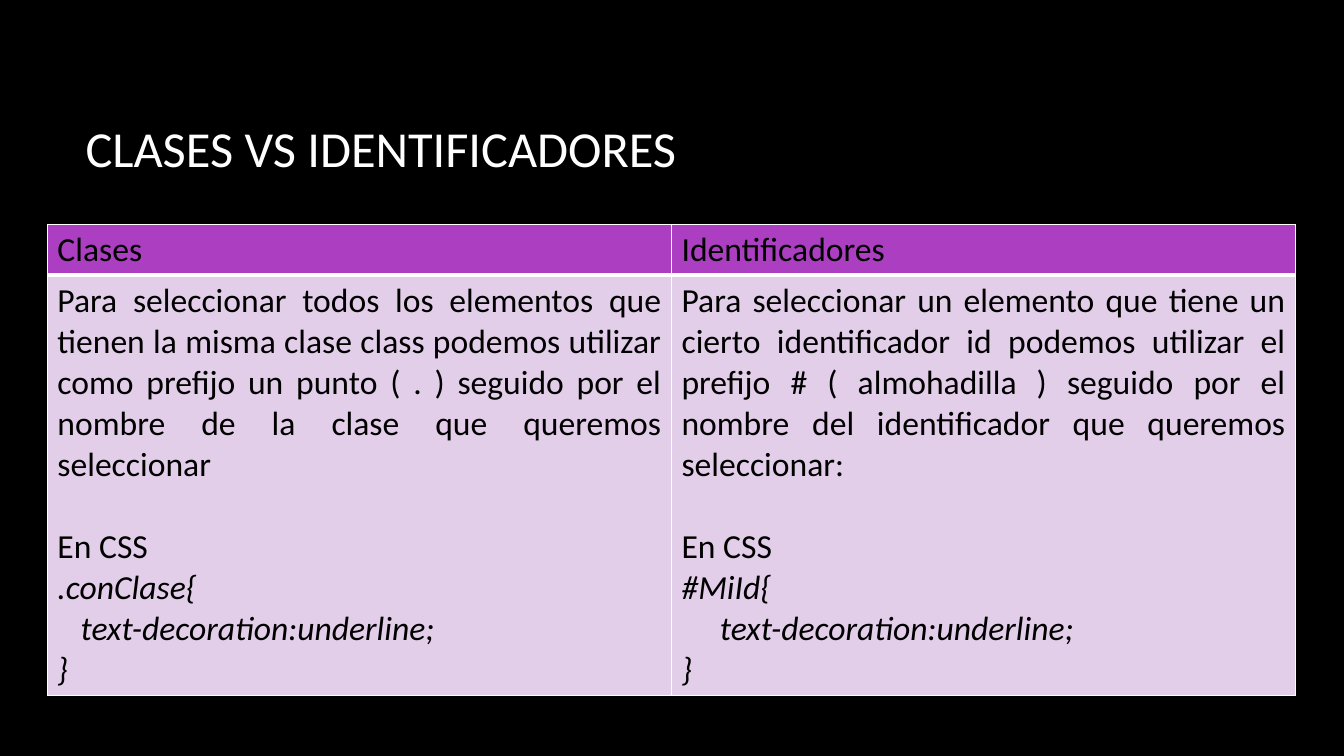
"""Build a slide that compares CSS classes and identifiers in a table."""
from dataclasses import dataclass

from lxml.etree import SubElement
from pptx import Presentation
from pptx.dml.color import RGBColor
from pptx.enum.text import MSO_ANCHOR, PP_ALIGN
from pptx.oxml.ns import qn
from pptx.util import Inches, Pt

TITLE = "CLASES VS IDENTIFICADORES"
COLUMNS = [
    {
        "heading": "Clases",
        "intro": "Para seleccionar todos los elementos que tienen la misma clase class podemos utilizar "
                 "como prefijo un punto ( . ) seguido por el nombre de la clase que queremos seleccionar",
        "selector": ".conClase{",
        "indent": 0.23,
    },
    {
        "heading": "Identificadores",
        "intro": "Para seleccionar un elemento que tiene un cierto identificador id podemos utilizar "
                 "el prefijo # ( almohadilla ) seguido por el nombre del identificador que queremos seleccionar:",
        "selector": "#MiId{",
        "indent": 0.38,
    },
]
LABEL = "En CSS"
RULE = "text-decoration:underline;"
CLOSING = "}"


@dataclass(frozen=True)
class Theme:
    """Colours, font and type sizes of the slide."""
    font: str = "Calibri"
    background: str = "000000"
    title: str = "FFFFFF"
    text: str = "000000"
    heading_fill: str = "AC3EC1"
    body_fill: str = "E3CEE9"
    border: str = "FFFFFF"
    title_size: int = 36
    text_size: int = 24
    line_gap: float = 29.3
    thin: int = 1
    thick: int = 3


THEME = Theme()
WIDTH, HEIGHT = 13.33, 7.5
TABLE_LEFT, TABLE_TOP, TABLE_WIDTH = 0.47, 2.23, 12.38
ROW_HEIGHTS = [0.5, 4.17]


def write(para, text, size, color, italic=False):
    """Put styled text into a paragraph."""
    para.text = text
    for span in para.runs:
        span.font.name = THEME.font
        span.font.size = Pt(size)
        span.font.italic = italic
        span.font.color.rgb = RGBColor.from_string(color)


def style_cell(cell, fill, bottom):
    """Fill a cell and draw its four borders."""
    properties = cell._tc.get_or_add_tcPr()
    widths = {"a:lnL": THEME.thin, "a:lnR": THEME.thin, "a:lnT": THEME.thin, "a:lnB": bottom}
    for tag, width in widths.items():
        line = SubElement(properties, qn(tag), w=str(Pt(width)))
        SubElement(SubElement(line, qn("a:solidFill")), qn("a:srgbClr"), val=THEME.border)
    cell.fill.solid()
    cell.fill.fore_color.rgb = RGBColor.from_string(fill)


def add_title(page):
    """Add the slide title."""
    box = page.shapes.add_textbox(Inches(0.75), Inches(0.67), Inches(11.08), Inches(1.59))
    frame = box.text_frame
    frame.word_wrap = True
    frame.vertical_anchor = MSO_ANCHOR.MIDDLE
    write(frame.paragraphs[0], TITLE, THEME.title_size, THEME.title)


def fill_body(cell, column):
    """Write the explanation and the CSS example of one column."""
    lines = [(column["intro"], False), (LABEL, False), (column["selector"], True), (RULE, True), (CLOSING, True)]
    frame = cell.text_frame
    for index, (text, italic) in enumerate(lines):
        para = frame.add_paragraph() if index else frame.paragraphs[0]
        write(para, text, THEME.text_size, THEME.text, italic)
        para.alignment = PP_ALIGN.JUSTIFY
        if text == LABEL:
            para.space_before = Pt(THEME.line_gap)
        if text == RULE:
            para._p.get_or_add_pPr().set("marL", str(Inches(column["indent"])))


def add_comparison(page):
    """Add the table with one column per kind of selector."""
    frame = page.shapes.add_table(len(ROW_HEIGHTS), len(COLUMNS), Inches(TABLE_LEFT), Inches(TABLE_TOP),
                                  Inches(TABLE_WIDTH), Inches(sum(ROW_HEIGHTS)))
    table = frame.table
    table.first_row = False
    table.horz_banding = False
    for row, height in zip(table.rows, ROW_HEIGHTS):
        row.height = Inches(height)
    for index, column in enumerate(COLUMNS):
        table.columns[index].width = Inches(TABLE_WIDTH / len(COLUMNS))
        heading, body = table.cell(0, index), table.cell(1, index)
        style_cell(heading, THEME.heading_fill, THEME.thick)
        style_cell(body, THEME.body_fill, THEME.thin)
        write(heading.text_frame.paragraphs[0], column["heading"], THEME.text_size, THEME.text)
        fill_body(body, column)


def main():
    """Build and save the deck."""
    deck = Presentation()
    deck.slide_width, deck.slide_height = Inches(WIDTH), Inches(HEIGHT)
    page = deck.slides.add_slide(deck.slide_layouts[6])
    page.background.fill.solid()
    page.background.fill.fore_color.rgb = RGBColor.from_string(THEME.background)
    add_title(page)
    add_comparison(page)
    deck.save("out.pptx")


if __name__ == "__main__":
    main()
